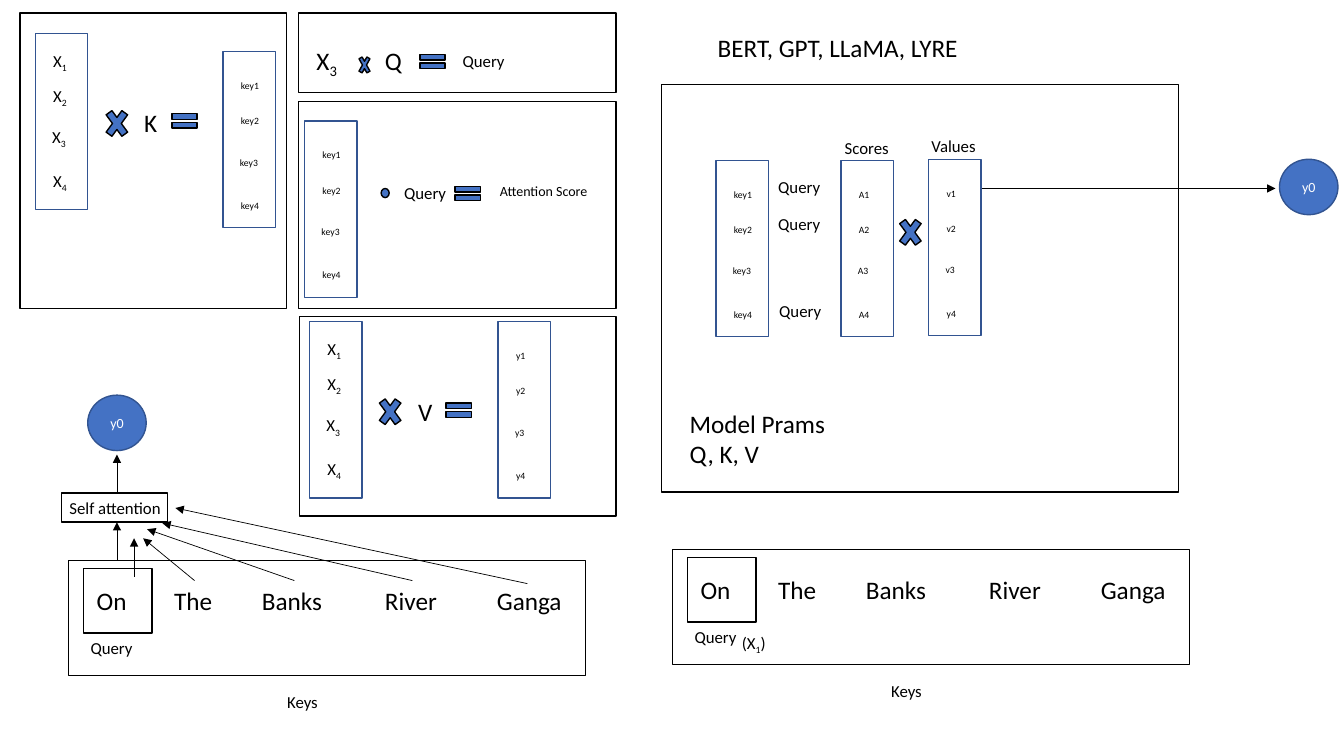
import pptx
import pptx.dml.color
import pptx.enum.shapes
import pptx.enum.text
import pptx.oxml.ns
import pptx.util
from lxml import etree

Color = pptx.dml.color.RGBColor
BLACK = Color(0x00, 0x00, 0x00)
WHITE = Color(0xFF, 0xFF, 0xFF)
BLUE = Color(0x44, 0x72, 0xC4)
NAVY = Color(0x32, 0x54, 0x91)
FORM = pptx.enum.shapes.MSO_SHAPE
SCALE = 9144  # EMU in one px, 100 px to the inch
HEIGHTS = {18: 40, 12: 30, 10: 27}


def px(*sizes):
    return [pptx.util.Emu(size * SCALE) for size in sizes]


class Sketch:
    def __init__(self, slide, font="Calibri"):
        self.slide = slide
        self.shapes = slide.shapes
        self.font = font

    def label(self, para, text, size, color=BLACK):
        """Fill a paragraph; every second part between underscores is subscript."""
        for i, part in enumerate(text.split("_")):
            if part:
                run = para.add_run()
                run.text = part
                if i % 2:
                    run._r.get_or_add_rPr().set("baseline", "-25000")
        para.font.name = self.font
        para.font.size = pptx.util.Pt(size)
        para.font.color.rgb = color

    def text(self, x, y, w, text, size=12, h=None):
        box = self.shapes.add_textbox(*px(x, y, w, h or HEIGHTS[size]))
        frame = box.text_frame
        frame.word_wrap = False
        frame.auto_size = pptx.enum.text.MSO_AUTO_SIZE.SHAPE_TO_FIT_TEXT
        for i, line in enumerate(text.split("\n")):
            para = frame.add_paragraph() if i else frame.paragraphs[0]
            self.label(para, line, size)

    def shape(self, form, x, y, w, h, fill=None, edge=BLACK):
        item = self.shapes.add_shape(form, *px(x, y, w, h))
        item.shadow.inherit = False
        if fill is None:
            item.fill.background()
        else:
            item.fill.solid()
            item.fill.fore_color.rgb = fill
        item.line.color.rgb = edge
        item.line.width = pptx.util.Pt(1)
        return item

    def frame(self, x, y, w, h, edge=BLACK):
        self.shape(FORM.RECTANGLE, x, y, w, h, edge=edge)

    def times(self, x, y, w=30, h=41):
        self.shape(FORM.MATH_MULTIPLY, x, y, w, h, BLUE)

    def equal(self, x, y):
        self.shape(FORM.MATH_EQUAL, x, y, 34, 24, BLUE)

    def output(self, x, y):
        ball = self.shape(FORM.OVAL, x, y, 58, 55, BLUE, NAVY)
        ball.text_frame.vertical_anchor = pptx.enum.text.MSO_ANCHOR.MIDDLE
        para = ball.text_frame.paragraphs[0]
        para.alignment = pptx.enum.text.PP_ALIGN.CENTER
        self.label(para, "y0", 10, WHITE)

    def arrow(self, x1, y1, x2, y2):
        kind = pptx.enum.shapes.MSO_CONNECTOR.STRAIGHT
        link = self.shapes.add_connector(kind, *px(x1, y1, x2, y2))
        link.line.color.rgb = BLACK
        link.line.width = pptx.util.Pt(0.5)
        qn = pptx.oxml.ns.qn
        props = link._element.spPr
        etree.SubElement(props.find(qn("a:ln")), qn("a:tailEnd"), type="triangle")
        etree.SubElement(props, qn("a:effectLst"))

    def vector(self, x, y, labels, width, high=24):
        """Draw a tall box with four stacked labels."""
        self.frame(x, y, 52, 175, NAVY)
        for label, dx, dy in zip(labels, (8, 8, 7, 8), (12, 47, 88, 131)):
            self.text(x + dx, y + dy, width, label, h=high)

    def inputs(self, x, y):
        self.vector(x, y, ["X_1", "X_2", "X_3", "X_4"], 34, 30)

    def keys(self, x, y):
        self.vector(x, y, ["_key1", "_key2", "_key3", "_key4"], 42)

    def phrase(self, x, y):
        """Draw the framed sentence with its first word boxed as the query."""
        self.frame(x, y, 513, 114)
        self.frame(x + 15, y + 8, 68, 64)
        words = [("On", 18, 51), ("The", 95, 60), ("Banks", 182, 85),
                 ("River", 304, 74), ("Ganga", 415, 88)]
        for word, dx, w in words:
            self.text(x + dx, y + 20, w, word, 18)
        self.text(x + 12, y + 72, 63, "Query")
        self.text(x + 207, y + 125, 53, "Keys")


def main():
    deck = pptx.Presentation()
    deck.slide_width, deck.slide_height = px(1333, 750)
    art = Sketch(deck.slides.add_slide(deck.slide_layouts[6]))

    # Keys: X times K
    art.frame(20, 13, 264, 293)
    art.inputs(35, 33)
    art.times(101, 102)
    art.text(133, 102, 35, "K", 18)
    art.equal(166, 108)
    art.keys(221, 51)

    # Query: X3 times Q
    art.frame(296, 13, 315, 79)
    art.text(304, 40, 42, "X_3", 18)
    art.times(354, 51, 15, 27)
    art.text(372, 40, 37, "Q", 18)
    art.equal(412, 49)
    art.text(449, 45, 63, "Query")

    # Attention score: keys dot query
    art.frame(296, 101, 315, 205)
    art.keys(302, 120)
    art.shape(FORM.OVAL, 378, 187, 8, 9, BLUE)
    art.text(391, 176, 63, "Query")
    art.equal(447, 180)
    art.text(486, 176, 112, "Attention Score", 10)

    # Values: X times V
    art.frame(297, 314, 314, 198)
    art.inputs(307, 319)
    art.times(372, 388)
    art.text(405, 388, 33, "V", 18)
    art.equal(438, 395)
    art.vector(494, 319, ["_y1", "_y2", "_y3", "_y4"], 31)

    # Self attention over the sentence
    art.phrase(68, 556)
    art.frame(61, 489, 105, 29)
    art.text(59, 489, 116, "Self attention")
    art.output(87, 392)
    for ends in [(116, 556, 116, 518), (133, 572, 133, 534), (116, 489, 116, 451),
                 (523, 579, 174, 504), (409, 576, 161, 519),
                 (292, 576, 146, 525), (193, 576, 142, 534)]:
        art.arrow(*ends)

    # Model
    art.text(702, 27, 282, "BERT, GPT, LLaMA, LYRE", 18)
    art.frame(656, 84, 513, 404)
    art.keys(710, 159)
    for x, y in [(762, 170), (762, 207), (763, 293)]:
        art.text(x, y, 63, "Query")
    art.text(828, 132, 67, "Scores")
    art.vector(834, 159, ["_A1", "_A2", "_A3", "_A4"], 32)
    art.times(888, 210)
    art.text(914, 130, 66, "Values")
    art.vector(921, 158, ["_v1", "_v2", "_v3", "_y4"], 31)
    art.arrow(974, 187, 1265, 187)
    art.output(1269, 158)
    art.text(674, 400, 158, "Model Prams\nQ, K, V", 18, 71)
    art.phrase(667, 545)
    art.text(726, 623, 45, "(X_1_)")

    deck.save("out.pptx")


if __name__ == "__main__":
    main()
